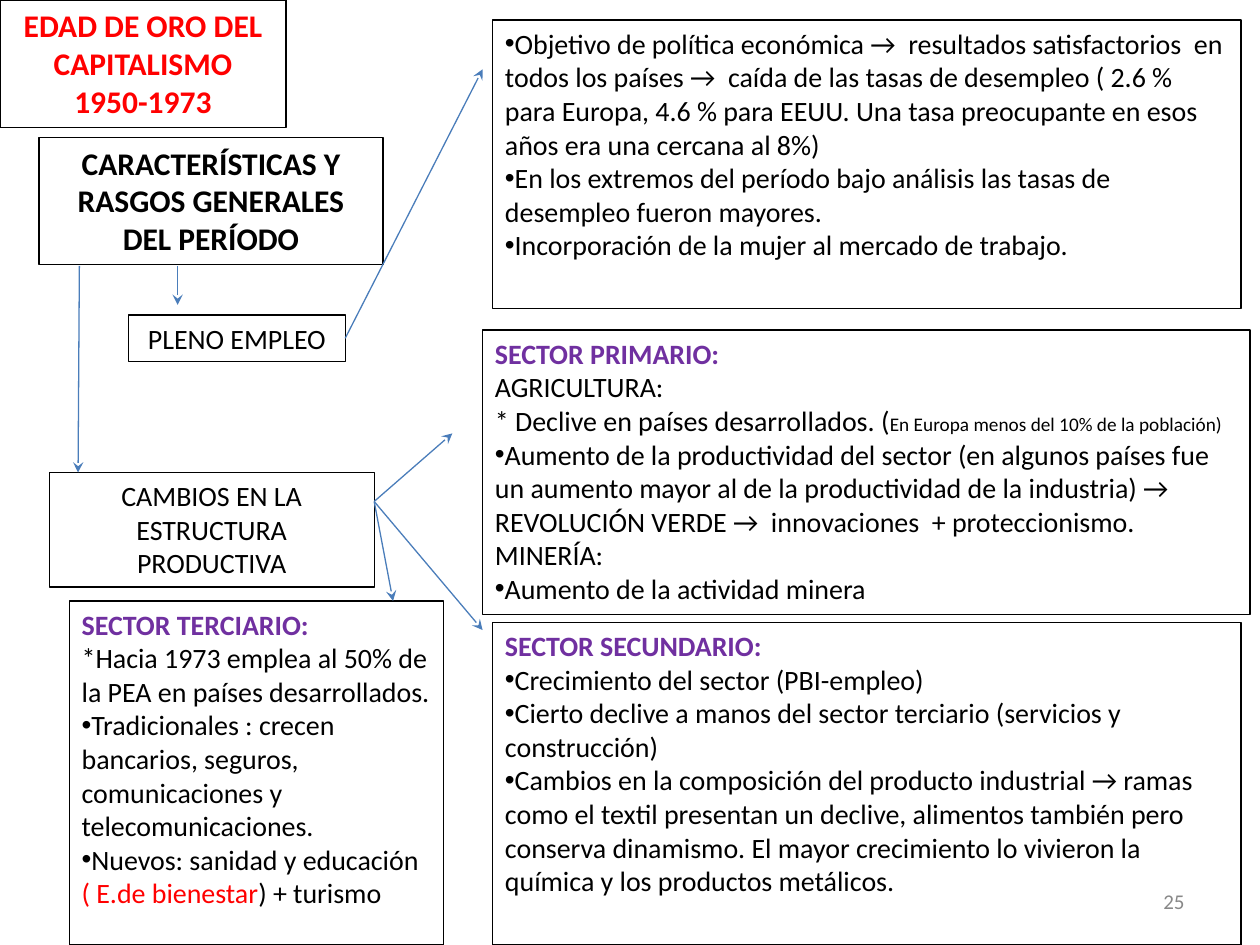
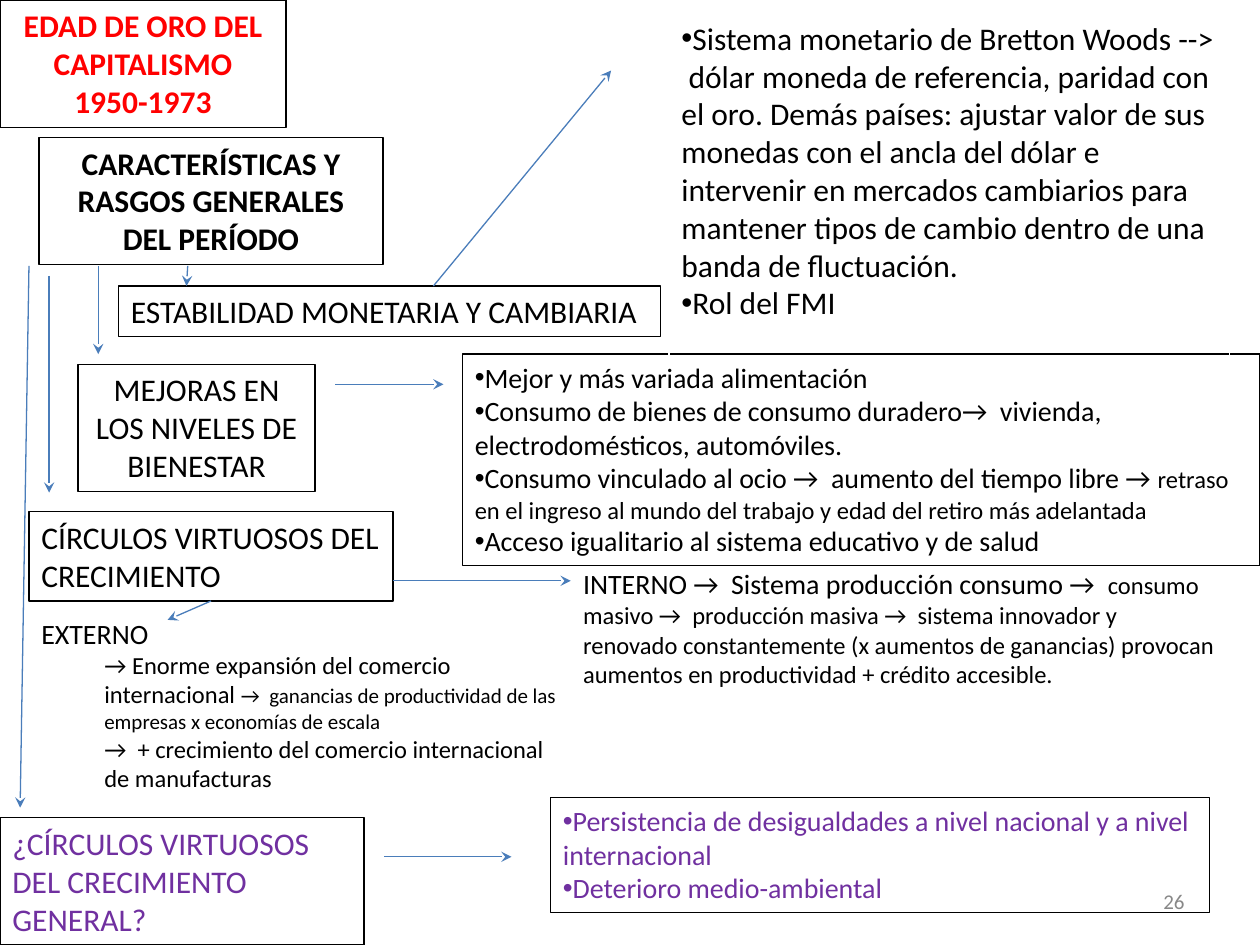
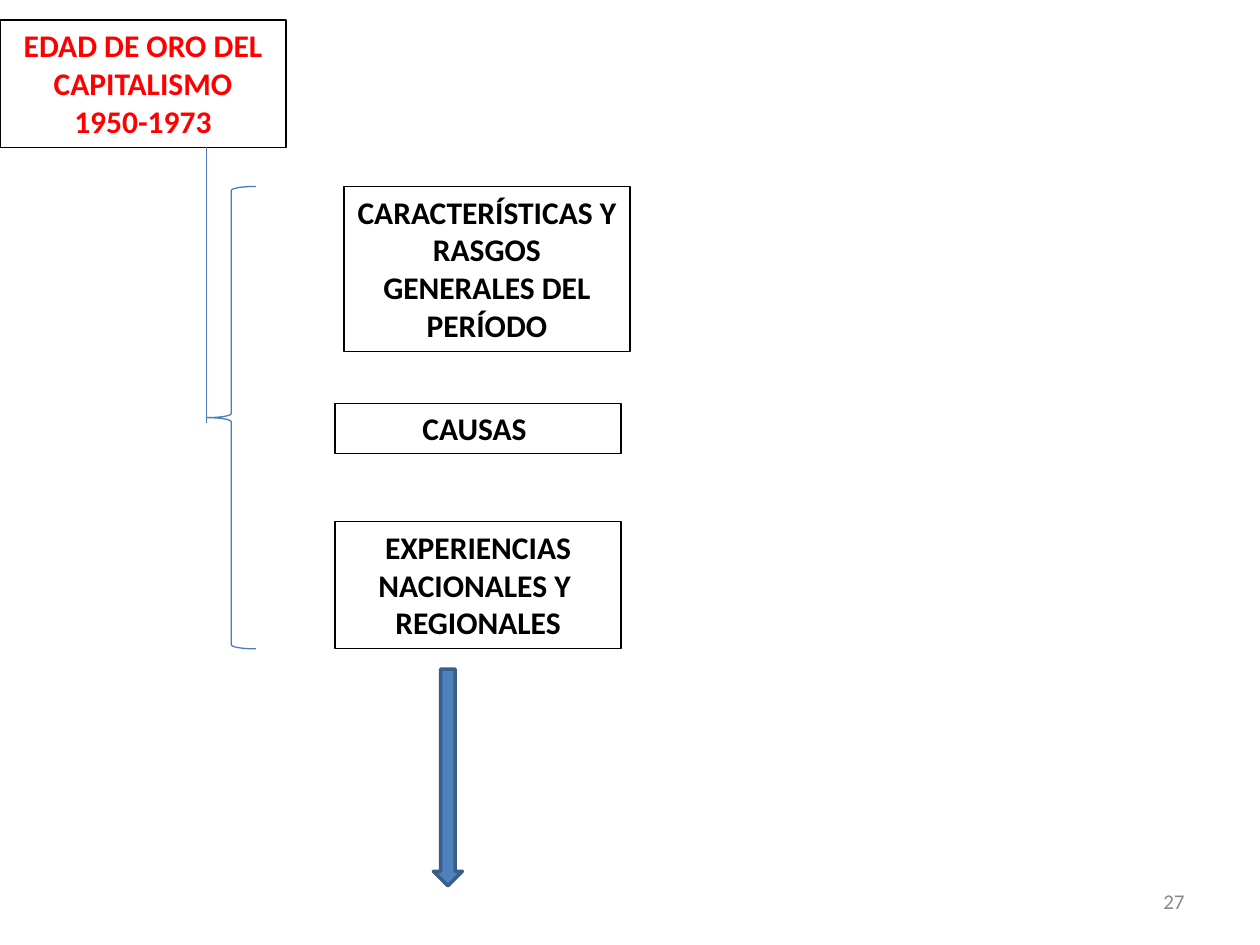
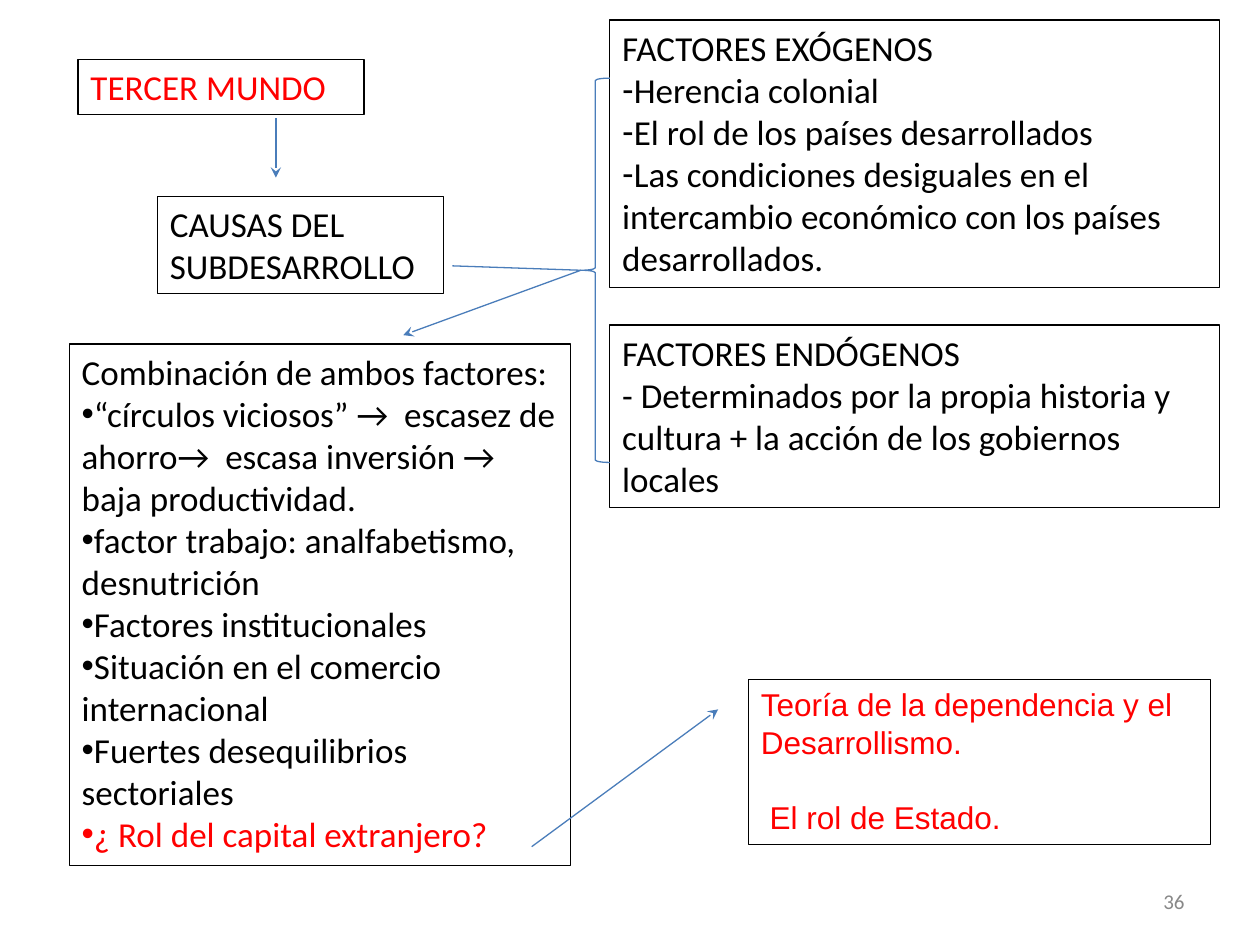
from dataclasses import dataclass

from lxml.etree import SubElement
from pptx import Presentation
from pptx.dml.color import RGBColor
from pptx.enum.shapes import MSO_CONNECTOR, MSO_SHAPE
from pptx.enum.text import MSO_ANCHOR, PP_ALIGN
from pptx.oxml.ns import qn
from pptx.util import Inches, Pt


@dataclass(frozen=True)
class Theme:
    font: str = "Calibri"
    plain: str = "Arial"
    black: str = "000000"
    white: str = "FFFFFF"
    red: str = "FF0000"
    purple: str = "7030A0"
    blue: str = "4A7DBA"
    fill: str = "4F81BD"
    edge: str = "395E89"
    gray: str = "888888"
    big: int = 20
    head: int = 18
    body: int = 16
    small: int = 14
    note: int = 12
    tiny: int = 11
    thin: float = 0.75
    thick: float = 2


@dataclass
class Run:
    text: str
    size: float = None
    color: str = None
    bold: bool = None


@dataclass
class Para:
    runs: tuple
    mark: str = None
    color: str = None
    indent: float = 0
    before: float = 0


T = Theme()
LEFT, CENTER, RIGHT = PP_ALIGN.LEFT, PP_ALIGN.CENTER, PP_ALIGN.RIGHT


def para(*parts, **style):
    runs = tuple(Run(p) if isinstance(p, str) else p for p in parts)
    return Para(runs, **style)


def dot(*parts, **style):
    return para(*parts, mark="•", **style)


def dash(text):
    return para(text, mark="-")


def title(text):
    return para(Run(text, color=T.purple, bold=True))


def rgb(code):
    return RGBColor.from_string(code)


def place(at):
    return [Inches(n) for n in at]


def bullet(line, mark, color):
    props = line._p.get_or_add_pPr()
    tint = SubElement(props, qn("a:buClr"))
    SubElement(tint, qn("a:srgbClr"), val=color)
    SubElement(props, qn("a:buFont"), typeface=T.plain)
    SubElement(props, qn("a:buChar"), char=mark)


def write(frame, paras, size, color, bold=False, align=LEFT, font=T.font):
    frame.word_wrap = True
    for i, item in enumerate(paras):
        if isinstance(item, str):
            item = para(item)
        line = frame.paragraphs[0] if i == 0 else frame.add_paragraph()
        line.alignment = align
        props = line._p.get_or_add_pPr()
        props.set("marL", str(Inches(item.indent)))
        props.set("indent", "0")
        if item.mark:
            bullet(line, item.mark, item.color or color)
        if item.before:
            line.space_before = Pt(item.before)
        for part in item.runs:
            run = line.add_run()
            run.text = part.text
            run.font.name = font
            run.font.size = Pt(part.size or size)
            run.font.bold = bold if part.bold is None else part.bold
            run.font.color.rgb = rgb(part.color or item.color or color)


def form(slide, kind, at, line, width=T.thin, fill=None):
    shape = slide.shapes.add_shape(kind, *place(at))
    shape.shadow.inherit = False
    if fill:
        shape.fill.solid()
        shape.fill.fore_color.rgb = rgb(fill)
    else:
        shape.fill.background()
    shape.line.color.rgb = rgb(line)
    shape.line.width = Pt(width)
    return shape


def box(slide, at, *paras, size=T.body, color=T.black, line=T.black, **style):
    shape = form(slide, MSO_SHAPE.RECTANGLE, at, line)
    shape.text_frame.vertical_anchor = MSO_ANCHOR.TOP
    write(shape.text_frame, paras, size, color, **style)
    return shape


def label(slide, at, *paras, size=T.body, color=T.black, **style):
    frame = slide.shapes.add_textbox(*place(at)).text_frame
    write(frame, paras, size, color, **style)
    return frame


def link(slide, ends, tip=True, start=None, stop=None):
    line = slide.shapes.add_connector(MSO_CONNECTOR.STRAIGHT, *place(ends))
    if start:
        line.begin_connect(*start)
    if stop:
        line.end_connect(*stop)
    line.line.color.rgb = rgb(T.blue)
    line.line.width = Pt(T.thin)
    if tip:
        SubElement(line.line._get_or_add_ln(), qn("a:tailEnd"), type="stealth")
    SubElement(line._element.spPr, qn("a:effectLst"))


def brace(slide, at):
    shape = form(slide, MSO_SHAPE.LEFT_BRACE, at, T.blue)
    shape.adjustments[0] = 0.083
    return shape


def number(slide, text):
    frame = label(slide, (7.17, 6.95, 2.33, 0.4), text,
                  size=T.note, color=T.gray, align=RIGHT)
    frame.vertical_anchor = MSO_ANCHOR.MIDDLE


def era(slide, top=0):
    box(slide, (0, top, 2.27, 1.01), "EDAD DE ORO DEL CAPITALISMO", "1950-1973",
        size=T.head, color=T.red, bold=True, align=CENTER)


def topic(slide, at, text):
    box(slide, at, text, size=T.head, bold=True, align=CENTER)


def traits(slide, at=(0.31, 1.09, 2.73, 1.01)):
    topic(slide, at, "CARACTERÍSTICAS Y RASGOS GENERALES DEL PERÍODO")


def sectors(slide):
    era(slide)
    traits(slide)
    jobs = box(slide, (1.02, 2.5, 1.72, 0.37), "PLENO EMPLEO", align=CENTER)
    box(slide, (3.91, 0.16, 5.94, 2.29),
        dot("Objetivo de política económica →  resultados satisfactorios  en todos "
            "los países →  caída de las tasas de desempleo ( 2.6 % para Europa, "
            "4.6 % para EEUU. Una tasa preocupante en esos años era una cercana "
            "al 8%)"),
        dot("En los extremos del período bajo análisis las tasas de desempleo "
            "fueron mayores."),
        dot("Incorporación de la mujer al mercado de trabajo."))
    box(slide, (0.39, 3.75, 2.58, 0.91), "CAMBIOS EN LA ESTRUCTURA PRODUCTIVA",
        align=CENTER)
    box(slide, (3.83, 2.62, 6.09, 2.26),
        title("SECTOR PRIMARIO:"),
        "AGRICULTURA:",
        para("* Declive en países desarrollados. (",
             Run("En Europa menos del 10% de la población)", T.tiny)),
        dot("Aumento de la productividad del sector (en algunos países fue un "
            "aumento mayor al de la productividad de la industria) → "
            "REVOLUCIÓN VERDE →  innovaciones  + proteccionismo."),
        "MINERÍA:",
        dot("Aumento de la actividad minera"))
    box(slide, (3.91, 4.94, 5.94, 2.56),
        title("SECTOR SECUNDARIO:"),
        dot("Crecimiento del sector (PBI-empleo)"),
        dot("Cierto declive a manos del sector terciario (servicios y "
            "construcción)"),
        dot("Cambios en la composición del producto industrial → ramas como el "
            "textil presentan un declive, alimentos también pero conserva "
            "dinamismo. El mayor crecimiento lo vivieron la química y los "
            "productos metálicos."))
    box(slide, (0.55, 4.77, 2.97, 2.73),
        title("SECTOR TERCIARIO:"),
        "*Hacia 1973 emplea al 50% de la PEA en países desarrollados.",
        dot("Tradicionales : crecen bancarios, seguros, comunicaciones y "
            "telecomunicaciones."),
        dot("Nuevos: sanidad y educación ", Run("( E.de bienestar", color=T.red),
            ") + turismo"))
    link(slide, (0.63, 2.11, 0.62, 3.75))
    link(slide, (1.41, 2.11, 1.41, 2.42))
    link(slide, (2.74, 2.69, 3.83, 0.55), start=(jobs, 3))
    for x, y in ((3.59, 3.44), (3.83, 5), (3.12, 4.77)):
        link(slide, (2.97, 3.98, x, y))
    number(slide, "25")


def growth(slide):
    era(slide)
    traits(slide)
    box(slide, (0.94, 2.27, 4.3, 0.4), "ESTABILIDAD MONETARIA Y CAMBIARIA",
        size=T.head)
    box(slide, (0.62, 2.89, 1.88, 1.01), "MEJORAS EN LOS NIVELES DE BIENESTAR",
        size=T.head, align=CENTER)
    box(slide, (3.67, 2.81, 6.33, 1.68),
        dot("Mejor y más variada alimentación"),
        dot("Consumo de bienes de consumo duradero→  vivienda, "
            "electrodomésticos, automóviles."),
        dot("Consumo vinculado al ocio →  aumento del tiempo libre → ",
            Run("retraso en el ingreso al mundo del trabajo y edad del retiro "
                "más adelantada", T.small)),
        dot("Acceso igualitario al sistema educativo y de salud"))
    loops = box(slide, (0.23, 4.06, 2.89, 0.71),
                "CÍRCULOS VIRTUOSOS DEL CRECIMIENTO", size=T.head)
    label(slide, (4.53, 4.45, 5.23, 1.23),
          para("INTERNO →  Sistema producción consumo →  ",
               Run("consumo masivo →  producción masiva →  sistema innovador y "
                   "renovado constantemente (x aumentos de ganancias) provocan "
                   "aumentos en productividad + crédito accesible.", T.small)))
    label(slide, (0.23, 4.84, 4.3, 1.48),
          "EXTERNO",
          para(Run("→ Enorme expansión del comercio internacional ", T.small),
               Run("→  ganancias de productividad de las empresas x economías "
                   "de escala", T.note), indent=0.5),
          para(Run("→  + crecimiento del comercio internacional de "
                   "manufacturas", T.small), indent=0.5))
    box(slide, (0, 6.49, 2.89, 1.01),
        "¿CÍRCULOS VIRTUOSOS DEL CRECIMIENTO GENERAL?",
        size=T.head, color=T.purple)
    box(slide, (4.37, 6.33, 5.23, 0.91),
        dot("Persistencia de desigualdades a nivel nacional y a nivel "
            "internacional"),
        dot("Deterioro medio-ambiental"), color=T.purple)
    for ends in ((1.49, 2.11, 1.48, 2.27), (3.44, 2.27, 4.85, 0.56),
                 (0.78, 2.11, 0.78, 2.81), (2.66, 3.05, 3.52, 3.05),
                 (0.39, 2.19, 0.39, 3.91), (3.12, 4.61, 4.53, 4.61),
                 (0.23, 2.11, 0.16, 6.41), (3.05, 6.8, 4.06, 6.8)):
        link(slide, ends)
    link(slide, (1.68, 4.77, 1.33, 4.92), start=(loops, 2))
    number(slide, "26")
    box(slide, (5.31, 0.1, 4.45, 2.72),
        dot("Sistema monetario de Bretton Woods -->  dólar moneda de referencia, "
            "paridad con el oro. Demás países: ajustar valor de sus monedas con "
            "el ancla del dólar e intervenir en mercados cambiarios para mantener "
            "tipos de cambio dentro de una banda de fluctuación."),
        dot("Rol del FMI"), size=T.head, line=T.white)


def outline(slide):
    era(slide, 0.16)
    traits(slide, (2.73, 1.48, 2.27, 1.31))
    topic(slide, (2.66, 3.2, 2.27, 0.4), "CAUSAS ")
    topic(slide, (2.66, 4.14, 2.27, 1.01), "EXPERIENCIAS NACIONALES Y  REGIONALES")
    brace(slide, (1.64, 1.48, 0.39, 3.67))
    link(slide, (1.64, 1.17, 1.64, 3.36), tip=False)
    form(slide, MSO_SHAPE.DOWN_ARROW, (3.44, 5.31, 0.23, 1.72),
         T.edge, T.thick, T.fill)
    number(slide, "27")


def causes(slide):
    box(slide, (0.62, 0.47, 2.27, 0.44), "TERCER MUNDO", size=T.big, color=T.red)
    box(slide, (1.25, 1.56, 2.27, 0.77), "CAUSAS DEL SUBDESARROLLO", size=T.big)
    box(slide, (4.84, 0.16, 4.84, 2.12),
        "FACTORES EXÓGENOS",
        dash("Herencia colonial"),
        dash("El rol de los países desarrollados"),
        dash("Las condiciones desiguales en el intercambio económico con los "
             "países desarrollados."), size=T.big)
    box(slide, (4.84, 2.58, 4.84, 1.45),
        "FACTORES ENDÓGENOS",
        "- Determinados por la propia historia y cultura + la acción de los "
        "gobiernos locales", size=T.big)
    box(slide, (0.55, 2.73, 3.98, 4.14),
        "Combinación de ambos factores:",
        dot("“círculos viciosos” →  escasez de ahorro→  escasa inversión →  "
            "baja productividad."),
        dot("factor trabajo: analfabetismo, desnutrición"),
        dot("Factores institucionales"),
        dot("Situación en el comercio internacional"),
        dot("Fuertes desequilibrios sectoriales"),
        dot("¿ Rol del capital extranjero?", color=T.red), size=T.big)
    box(slide, (5.94, 5.39, 3.67, 1.31),
        "Teoría de la dependencia y el Desarrollismo.",
        para("El rol de Estado.", indent=0.07, before=21),
        size=T.head, color=T.red, font=T.plain)
    link(slide, (4.22, 6.72, 5.7, 5.63))
    link(slide, (2.19, 0.94, 2.19, 1.41))
    fork = brace(slide, (4.61, 0.62, 0.23, 3.05))
    link(slide, (3.59, 2.11, 4.61, 2.15), tip=False, stop=(fork, 1))
    link(slide, (4.61, 2.15, 3.2, 2.66), start=(fork, 1))
    number(slide, "36")


def main():
    """Build the four slides on the golden age of capitalism."""
    deck = Presentation()
    deck.slide_width, deck.slide_height = Inches(10), Inches(7.5)
    for draw in (sectors, growth, outline, causes):
        draw(deck.slides.add_slide(deck.slide_layouts[6]))
    deck.save("out.pptx")


if __name__ == "__main__":
    main()
